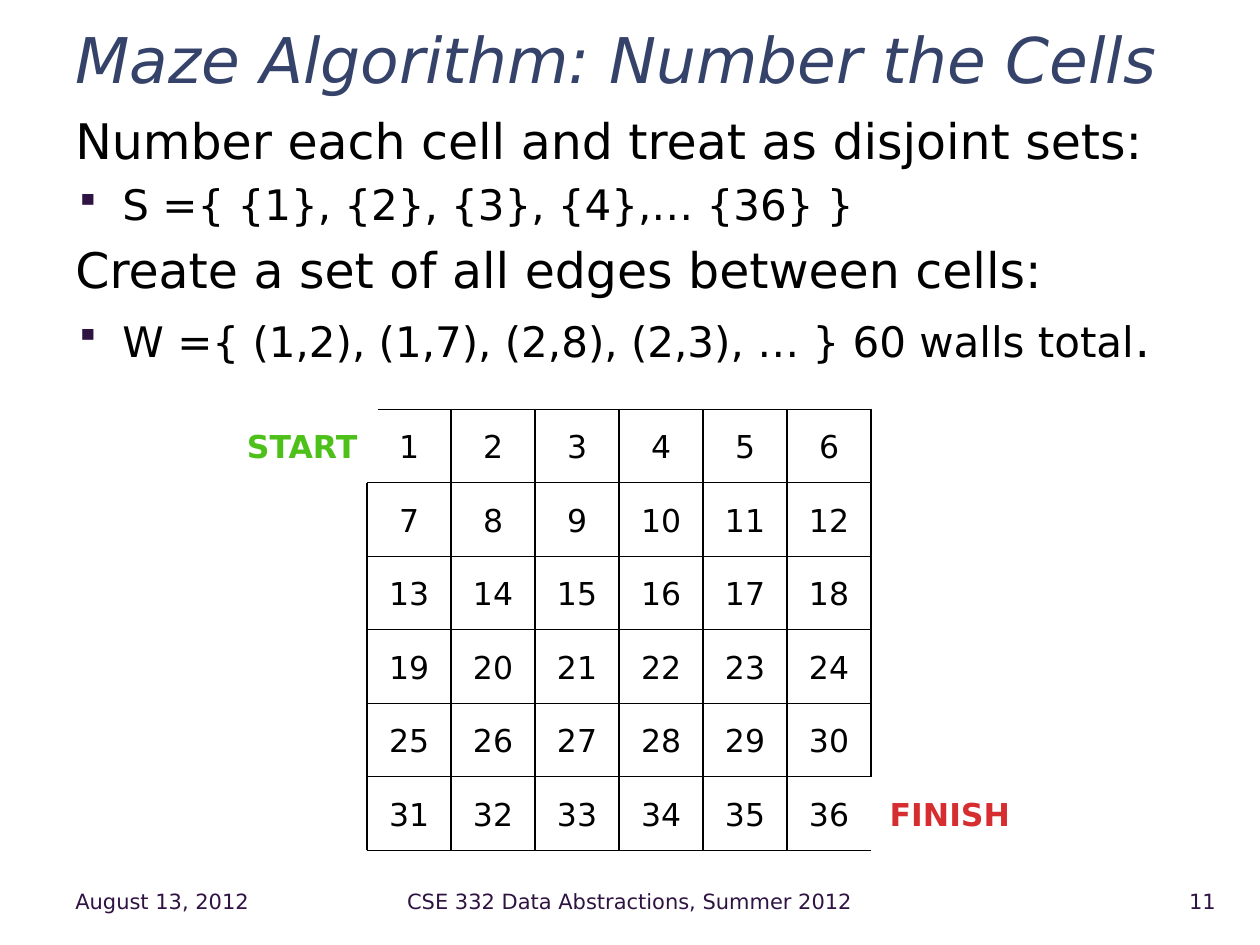
import dataclasses

import lxml.etree
import pptx
import pptx.dml.color
import pptx.enum.shapes
import pptx.enum.text
import pptx.oxml.ns
import pptx.util

Cm = pptx.util.Cm
Pt = pptx.util.Pt
Align = pptx.enum.text.PP_ALIGN
Anchor = pptx.enum.text.MSO_ANCHOR
qn = pptx.oxml.ns.qn


@dataclasses.dataclass(frozen=True)
class Theme:
    font: str = "DejaVu Sans"
    title_color: str = "35436A"
    accent: str = "2F1343"
    ink: str = "000000"
    start: str = "4DC11A"
    finish: str = "D62D31"
    title_size: int = 36
    heading_size: int = 28
    item_size: int = 24
    label_size: int = 18
    footer_size: int = 12
    wall_width: float = 0.75


def add_span(para, text, *, font, size, color, bold=False, italic=False):
    span = para.add_run()
    span.text = text
    span.font.name = font
    span.font.size = Pt(size)
    span.font.bold = bold
    span.font.italic = italic
    span.font.color.rgb = pptx.dml.color.RGBColor.from_string(color)


class PageBuilder:
    def __init__(self, page, theme):
        self.page = page
        self.theme = theme
        self.shapes = page.shapes

    def start_group(self):
        self.shapes = self.page.shapes.add_group_shape().shapes

    def end_group(self):
        self.shapes = self.page.shapes

    def title(self, text, left, top, width, height):
        box = self.page.shapes.title
        box.left, box.top, box.width, box.height = map(Cm, (left, top, width, height))
        frame = box.text_frame
        frame.word_wrap = True
        frame.auto_size = pptx.enum.text.MSO_AUTO_SIZE.NONE
        frame.vertical_anchor = Anchor.MIDDLE
        para = frame.paragraphs[0]
        para.alignment = Align.LEFT
        para.line_spacing = 1.1
        add_span(para, text, font=self.theme.font, size=self.theme.title_size,
                 color=self.theme.title_color, italic=True)

    def frame(self, left, top, width, height, wrap=True, anchor=Anchor.MIDDLE):
        frame = self.shapes.add_textbox(*map(Cm, (left, top, width, height))).text_frame
        frame.word_wrap = wrap
        frame.vertical_anchor = anchor
        return frame

    def label(self, text, left, top, width, height, *, size, color,
              align=Align.CENTER, bold=False, wrap=False):
        frame = self.frame(left, top, width, height, wrap)
        if not wrap:
            frame.margin_left = frame.margin_right = 0
        para = frame.paragraphs[0]
        para.alignment = align
        add_span(para, text, font=self.theme.font, size=size, color=color, bold=bold)

    def bullet(self, para):
        properties = para._p.get_or_add_pPr()
        properties.set("marL", str(Cm(0.95)))
        properties.set("indent", str(Cm(-0.95)))
        color = lxml.etree.SubElement(properties, qn("a:buClr"))
        lxml.etree.SubElement(color, qn("a:srgbClr")).set("val", self.theme.accent)
        lxml.etree.SubElement(properties, qn("a:buSzPct")).set("val", "80000")
        lxml.etree.SubElement(properties, qn("a:buChar")).set("char", "▪")

    def body(self, items, left, top, width, height):
        frame = self.frame(left, top, width, height, anchor=Anchor.TOP)
        for index, (bulleted, spans) in enumerate(items):
            para = frame.add_paragraph() if index else frame.paragraphs[0]
            if bulleted:
                self.bullet(para)
            if index:
                para.space_before = Pt(round(0.2 * max(size for _, size in spans)))
            for text, size in spans:
                add_span(para, text, font=self.theme.font, size=size, color=self.theme.ink)

    def wall(self, x1, y1, x2, y2):
        line = self.shapes.add_connector(pptx.enum.shapes.MSO_CONNECTOR.STRAIGHT,
                                         *map(Cm, (x1, y1, x2, y2)))
        line.line.width = Pt(self.theme.wall_width)
        line.line.color.rgb = pptx.dml.color.RGBColor.from_string(self.theme.ink)
        lxml.etree.SubElement(line._element.spPr, qn("a:effectLst"))

    def maze(self, left, top, width, height, count):
        cell_width, cell_height = width / count, height / count
        right, bottom = left + width, top + height
        box_width, box_height = 1.27, 1.06
        entry_gap = 0.21
        last = count - 1
        self.start_group()
        for row in range(count):
            y = top + row * cell_height
            for column in range(count):
                x = left + column * cell_width
                shift = entry_gap if row == column == 0 else 0
                self.wall(x + shift, y, x + cell_width, y)
                if (row, column) != (last, last):
                    self.wall(x + cell_width, y, x + cell_width, y + cell_height)
                self.label(str(row * count + column + 1),
                           x + (cell_width - box_width) / 2,
                           y + (cell_height - box_height) / 2,
                           box_width, box_height,
                           size=self.theme.label_size, color=self.theme.ink)
        self.wall(right - cell_width, bottom, left, bottom)
        self.wall(right - cell_width, bottom, right, bottom)
        self.wall(left, bottom, left, top + cell_height)
        for text, x, y, box_width, color in (
            ("START", 4.67, top, 2.84, self.theme.start),
            ("FINISH", right, bottom - cell_height, 3.18, self.theme.finish),
        ):
            self.label(text, x, y + (cell_height - 1.02) / 2, box_width, 1.02,
                       size=self.theme.label_size, color=color, bold=True)
        self.end_group()

    def footer(self, entries, top, height):
        for text, left, width, align in entries:
            self.label(text, left, top, width, height, size=self.theme.footer_size,
                       color=self.theme.accent, align=align, wrap=True)


def main():
    theme = Theme()
    deck = pptx.Presentation()
    deck.slide_width, deck.slide_height = Cm(25.4), Cm(19.05)
    page = deck.slides.add_slide(deck.slide_layouts.get_by_name("Title Only"))
    builder = PageBuilder(page, theme)
    builder.title("Maze Algorithm: Number the Cells", 1.27, 0.43, 23.5, 1.35)
    heading, item = theme.heading_size, theme.item_size
    builder.body([
        (False, [("Number each cell and treat as disjoint sets:", heading)]),
        (True, [("S ={ {1}, {2}, {3}, {4},… {36} }", item)]),
        (False, [("Create a set of all edges between cells:", heading)]),
        (True, [("W ={ (1,2), (1,7), (2,8), (2,3), … } 60 walls total", item),
                (".", heading)]),
    ], 1.27, 2.11, 23.5, 5.64)
    builder.maze(7.4, 8.25, 10.16, 8.89, 6)
    builder.footer([
        ("August 13, 2012", 1.27, 4.45, Align.LEFT),
        ("CSE 332 Data Abstractions, Summer 2012", 5.9, 13.59, Align.CENTER),
        ("11", 22.58, 2.18, Align.RIGHT),
    ], 17.65, 1.02)
    deck.save("out.pptx")


if __name__ == "__main__":
    main()
